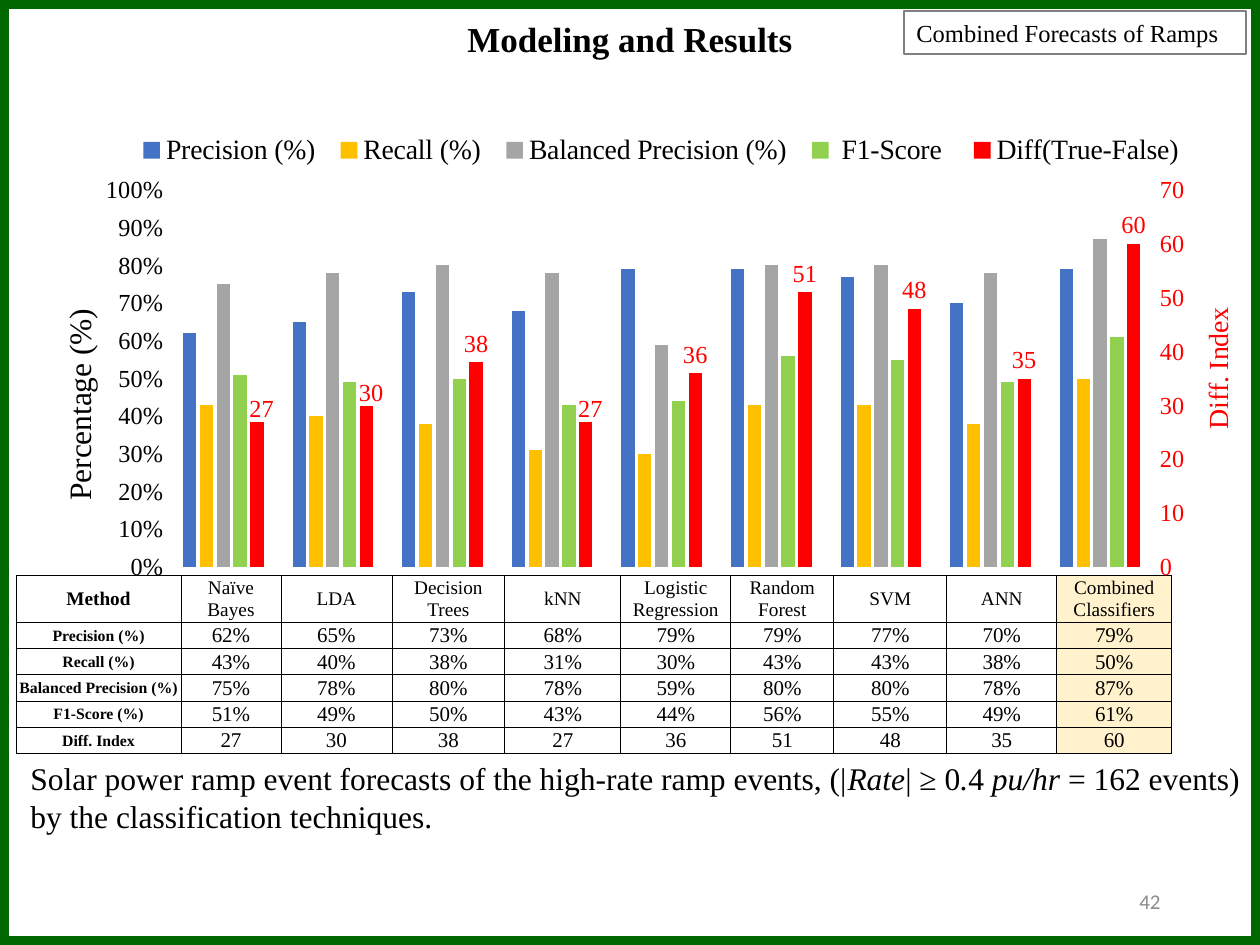
from copy import deepcopy

from pptx import Presentation
from pptx.chart.axis import ValueAxis
from pptx.chart.data import CategoryChartData
from pptx.dml.color import RGBColor
from pptx.enum.chart import XL_CHART_TYPE, XL_LABEL_POSITION, XL_LEGEND_POSITION, XL_TICK_MARK
from pptx.enum.shapes import MSO_SHAPE
from pptx.enum.text import MSO_ANCHOR, MSO_AUTO_SIZE, PP_ALIGN
from pptx.oxml import parse_xml
from pptx.oxml.ns import nsdecls, qn
from pptx.util import Pt

SERIF = "Times New Roman"
BLACK, RED, WHITE, CREAM = "000000", "FF0000", "FFFFFF", "FFF2CC"
METHODS = ["Naïve Bayes", "LDA", "Decision Trees", "kNN", "Logistic Regression",
           "Random Forest", "SVM", "ANN", "Combined Classifiers"]
SCORES = [
    ("Precision (%)", "Precision (%)", "4472C4", [62, 65, 73, 68, 79, 79, 77, 70, 79]),
    ("Recall (%)", "Recall (%)", "FFC000", [43, 40, 38, 31, 30, 43, 43, 38, 50]),
    ("Balanced Precision (%)", "Balanced Precision (%)", "A5A5A5",
     [75, 78, 80, 78, 59, 80, 80, 78, 87]),
    ("F1-Score (%)", " F1-Score ", "92D050", [51, 49, 50, 43, 44, 56, 55, 49, 61]),
]
DIFF_INDEX = [27, 30, 38, 27, 36, 51, 48, 35, 60]
SPACERS = range(5, 10)
COLUMN_WIDTHS = [165, 100, 111, 113, 116, 110, 103, 113, 110, 115]


def px(length):
    return round(length * 914400 / 126)


def box(left, top, width, height):
    return [px(length) for length in (left, top, width, height)]


def color(value):
    return RGBColor.from_string(value)


def set_font(font, size, ink=BLACK, face=SERIF, bold=False, italic=False):
    font.size, font.name, font.bold, font.italic = Pt(size), face, bold, italic
    font.color.rgb = color(ink)


def write(paragraph, text, align=None, **style):
    paragraph.alignment = align
    run = paragraph.add_run()
    run.text = text
    set_font(run.font, **style)


def place(parent, index, x, y, width=None, height=None, target="", fixed=True):
    for existing in parent.findall(qn("c:layout")):
        parent.remove(existing)
    parts = [f'<c:layoutTarget val="{target}"/>'] if target else []
    if fixed:
        parts += ['<c:xMode val="edge"/>', '<c:yMode val="edge"/>']
    sizes = {"x": x, "y": y, "w": width, "h": height}
    parts += [f'<c:{key} val="{size}"/>' for key, size in sizes.items() if size is not None]
    parent.insert(index, parse_xml(
        f'<c:layout {nsdecls("c")}><c:manualLayout>{"".join(parts)}</c:manualLayout></c:layout>'))


def add_right_axis(chart, first_right):
    area = chart.plots[0]._element.getparent()
    left_bars = area.find(qn("c:barChart"))
    right_bars = deepcopy(left_bars)
    left_bars.addnext(right_bars)
    for bars, surplus in ((left_bars, slice(first_right, None)), (right_bars, slice(first_right))):
        for series in bars.findall(qn("c:ser"))[surplus]:
            bars.remove(series)
    categories = deepcopy(area.find(qn("c:catAx")))
    values = deepcopy(area.find(qn("c:valAx")))
    area.find(qn("c:valAx")).addnext(values)
    values.addnext(categories)
    for axis, own, other in ((categories, "501", "502"), (values, "502", "501")):
        axis.find(qn("c:axId")).set("val", own)
        axis.find(qn("c:crossAx")).set("val", other)
    for reference, own in zip(right_bars.findall(qn("c:axId")), ("501", "502")):
        reference.set("val", own)
    values.find(qn("c:axPos")).set("val", "r")
    values.find(qn("c:crosses")).set("val", "max")
    return ValueAxis(values)


def format_axis(axis, title, size, ink, top, step, number_format, corner):
    axis.minimum_scale, axis.maximum_scale, axis.major_unit = 0, top, step
    axis.has_major_gridlines = False
    axis.major_tick_mark = axis.minor_tick_mark = XL_TICK_MARK.NONE
    axis.format.line.fill.background()
    axis.tick_labels.number_format = number_format
    axis.tick_labels.number_format_is_linked = False
    set_font(axis.tick_labels.font, 14, ink)
    frame = axis.axis_title.text_frame
    write(frame.paragraphs[0], title, size=size, ink=ink)
    frame._txBody.bodyPr.set("rot", "-5400000")
    frame._txBody.bodyPr.set("vert", "horz")
    place(axis.axis_title._element, 1, *corner)


def label_diff(series):
    labels = series.data_labels
    labels.show_value = True
    labels.position = XL_LABEL_POSITION.OUTSIDE_END
    set_font(labels.font, 14, RED)
    for index in (0, 1, 3):
        label = series.points[index].data_label
        set_font(label.font, 14, RED)
        label.position = XL_LABEL_POSITION.OUTSIDE_END
    for shifted in series._element.iter(qn("c:dLbl")):
        place(shifted, 1, 0.004, 0.01, fixed=False)


def add_legend(chart):
    chart.has_legend = True
    legend = chart.legend
    legend.position = XL_LEGEND_POSITION.BOTTOM
    legend.include_in_layout = False
    set_font(legend.font, 16)
    for offset, spacer in enumerate(SPACERS, 1):
        legend._element.insert(offset, parse_xml(
            f'<c:legendEntry {nsdecls("c")}><c:idx val="{spacer - 1}"/>'
            '<c:delete val="1"/></c:legendEntry>'))
    place(legend._element, 1 + len(SPACERS), 0.09, 0.05, 0.88, 0.07)


def add_scores_chart(slide):
    data = CategoryChartData()
    data.categories = [str(number) for number in range(1, len(METHODS) + 1)]
    for _, legend_name, _, percents in SCORES:
        data.add_series(legend_name, [percent / 100 for percent in percents], "0%")
    for spacer in SPACERS:
        data.add_series(f"Series {spacer}", [0] * len(METHODS))
    data.add_series("Diff(True-False)", DIFF_INDEX, "General")
    chart = slide.shapes.add_chart(
        XL_CHART_TYPE.COLUMN_CLUSTERED, *box(18, 100, 1225, 593), data).chart
    chart.has_title = False
    set_font(chart.font, 14)
    chart._chartSpace.find(qn("c:chart")).addnext(parse_xml(
        f'<c:spPr {nsdecls("c", "a")}><a:noFill/><a:ln><a:noFill/></a:ln></c:spPr>'))
    plot = chart.plots[0]
    plot.vary_by_categories = False
    plot.gap_width, plot.overlap = 219, -27
    fills = [fill for _, _, fill, _ in SCORES] + [WHITE] * len(SPACERS) + [RED]
    for series, fill in zip(plot.series, fills):
        series.invert_if_negative = False
        series.format.fill.solid()
        series.format.fill.fore_color.rgb = color(fill)
    label_diff(plot.series[-1])
    chart.category_axis.visible = False
    left_axis = chart.value_axis
    right_axis = add_right_axis(chart, len(SCORES) + 1)
    format_axis(left_axis, "Percentage (%)", 18, BLACK, 1, 0.1, "0%", (0.03, 0.34))
    format_axis(right_axis, "Diff. Index", 16, RED, 70, 10, "General", (0.97, 0.34))
    place(plot._element.getparent(), 0, 0.124, 0.152, 0.813, 0.636, target="inner")
    add_legend(chart)


def fill_cell(cell, text, fill, **style):
    cell.fill.solid()
    cell.fill.fore_color.rgb = color(fill)
    cell.vertical_anchor = MSO_ANCHOR.MIDDLE
    cell.margin_left = cell.margin_right = cell.margin_top = px(1)
    cell.margin_bottom = 0
    write(cell.text_frame.paragraphs[0], text, align=PP_ALIGN.CENTER, **style)
    for index, side in enumerate(("lnL", "lnR", "lnT", "lnB")):
        cell._tc.get_or_add_tcPr().insert(index, parse_xml(
            f'<a:{side} {nsdecls("a")} w="6350"><a:solidFill><a:srgbClr val="{BLACK}"/>'
            f'</a:solidFill></a:{side}>'))


def add_scores_table(slide):
    rows = [["Method"] + METHODS]
    rows += [[name] + [f"{percent}%" for percent in percents] for name, _, _, percents in SCORES]
    rows.append(["Diff. Index"] + [str(value) for value in DIFF_INDEX])
    table = slide.shapes.add_table(
        len(rows), len(rows[0]), *box(16, 575, sum(COLUMN_WIDTHS), 177)).table
    for column, width in zip(table.columns, COLUMN_WIDTHS):
        column.width = px(width)
    for r, texts in enumerate(rows):
        table.rows[r].height = px(26 if r else 47)
        for c, text in enumerate(texts):
            size = 11 if r == 0 else 9 if c == 0 else 12
            fill = CREAM if c == len(METHODS) else WHITE
            fill_cell(table.cell(r, c), text, fill, size=size, bold=c == 0)


def add_outline(slide, bounds, ink, weight):
    outline = slide.shapes.add_shape(MSO_SHAPE.RECTANGLE, *bounds)
    outline.shadow.inherit = False
    outline.fill.background()
    outline.line.color.rgb = color(ink)
    outline.line.width = Pt(weight)
    return outline


def add_caption(slide):
    frame = slide.shapes.add_textbox(*box(18, 753, 1240, 90)).text_frame
    frame.word_wrap = True
    pieces = ["Solar power ramp event forecasts of the high-rate ramp events, (|", "Rate",
              "| ≥ 0", ".", "4 ", "pu/hr ", "= 162 events)"]
    for index, piece in enumerate(pieces):
        write(frame.paragraphs[0], piece, size=18, italic=index % 2 == 1)
    write(frame.add_paragraph(), "by the classification techniques.", size=18)


def add_title(slide, text):
    title = slide.shapes.title
    title.left, title.top, title.width, title.height = box(454, 11, 352, 55)
    title.text_frame.auto_size = MSO_AUTO_SIZE.NONE
    title.text_frame.word_wrap = False
    write(title.text_frame.paragraphs[0], text, align=PP_ALIGN.CENTER, size=20, bold=True)


def main():
    deck = Presentation()
    deck.slide_width, deck.slide_height = px(1260), px(945)
    slide = deck.slides.add_slide(deck.slide_layouts[5])
    add_title(slide, "Modeling and Results")
    add_caption(slide)
    add_scores_table(slide)
    add_scores_chart(slide)
    number = slide.shapes.add_textbox(*box(890, 876, 283, 50)).text_frame
    number.word_wrap = True
    number.vertical_anchor = MSO_ANCHOR.MIDDLE
    write(number.paragraphs[0], "42", align=PP_ALIGN.RIGHT, size=12, ink="8C8C8C", face="Calibri")
    add_outline(slide, box(0, 0, 1260, 945), "006600", 10)
    topic = add_outline(slide, box(904, 11, 342, 43), "808080", 0.75).text_frame
    write(topic.paragraphs[0], "Combined Forecasts of Ramps", align=PP_ALIGN.LEFT, size=14)
    deck.save("out.pptx")


if __name__ == "__main__":
    main()
